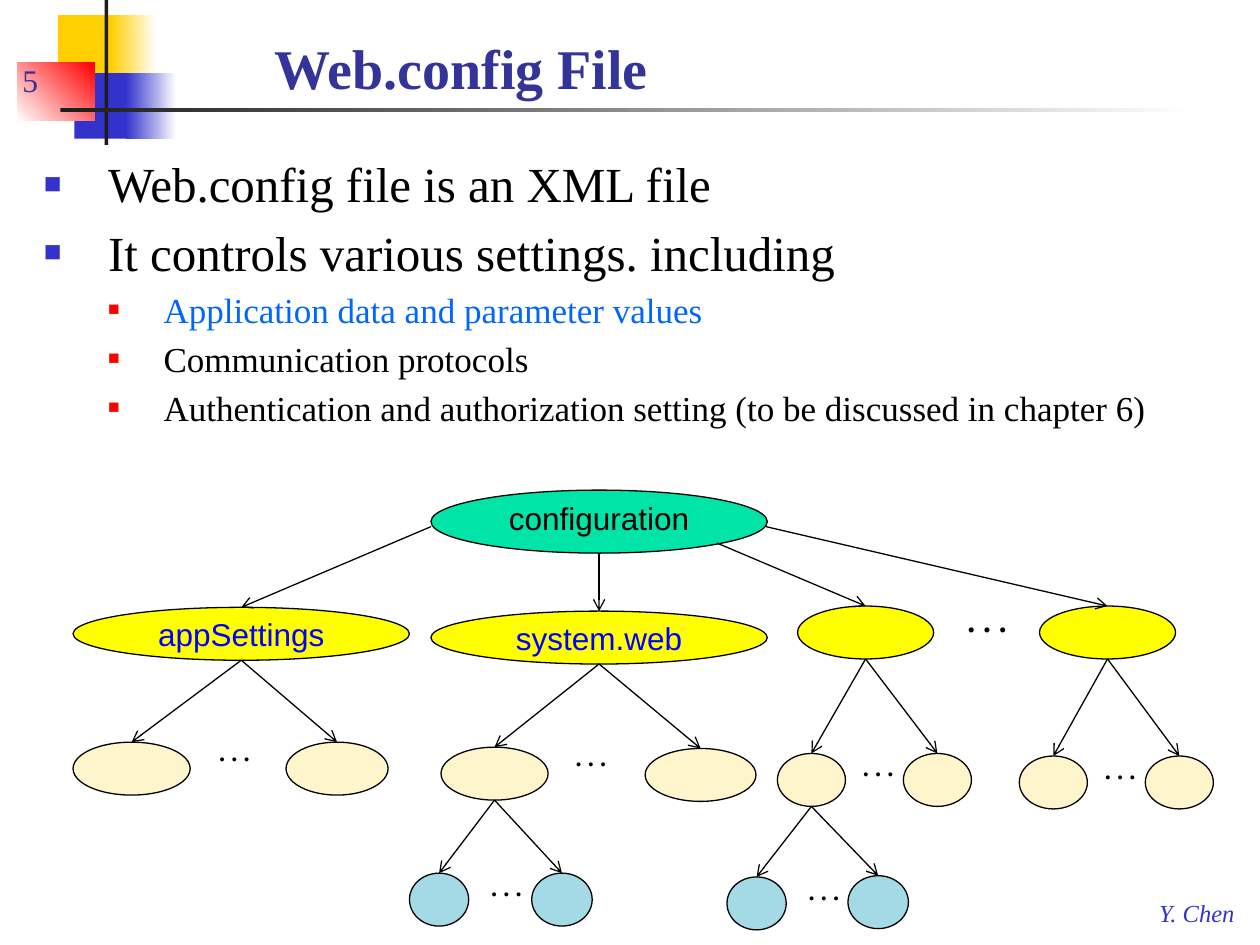
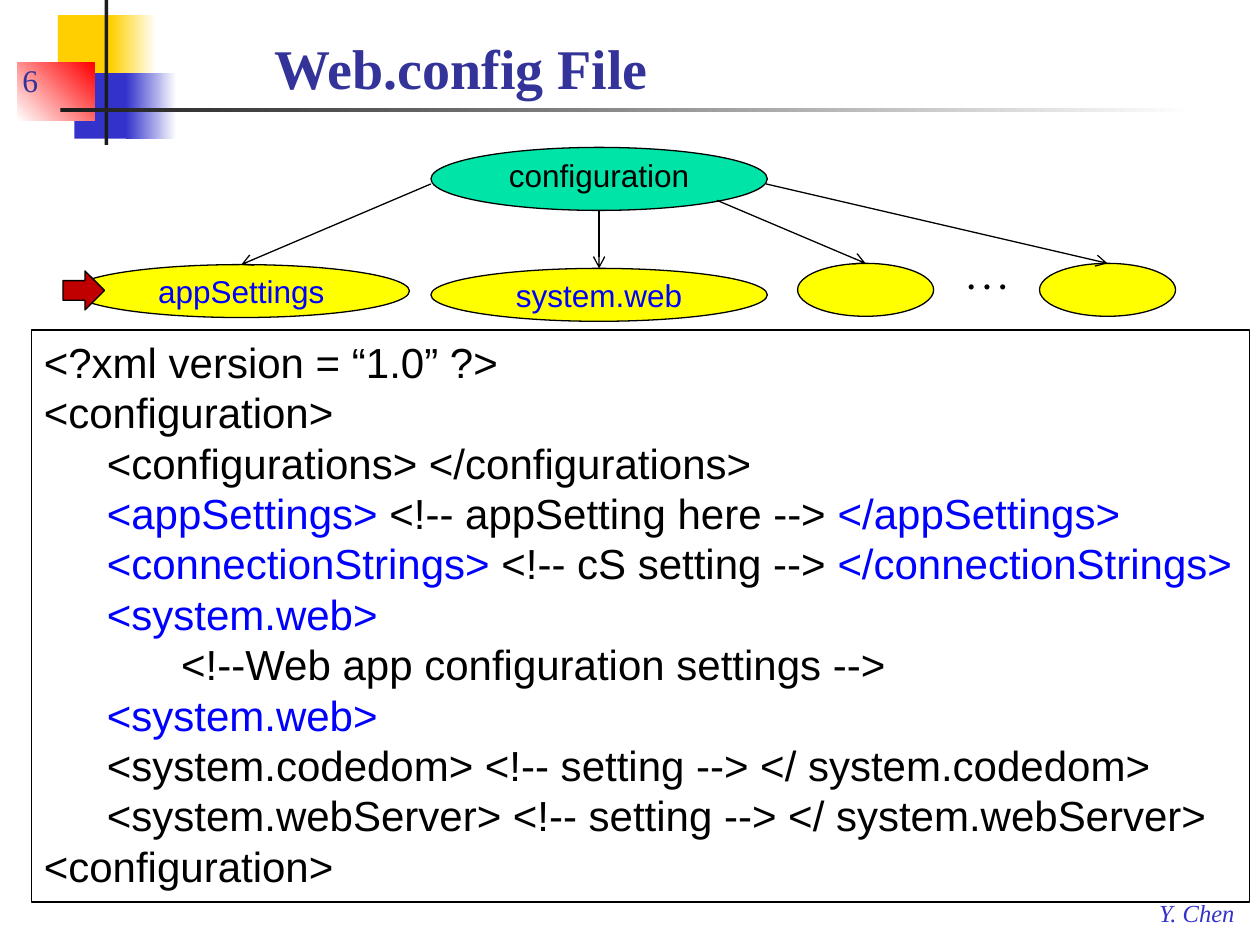
from dataclasses import dataclass

from lxml import etree
from pptx import Presentation
from pptx.dml.color import RGBColor
from pptx.enum.shapes import MSO_CONNECTOR, MSO_SHAPE
from pptx.enum.text import MSO_ANCHOR, PP_ALIGN
from pptx.oxml.ns import qn
from pptx.util import Inches, Pt

RECT = MSO_SHAPE.RECTANGLE
OVAL = MSO_SHAPE.OVAL
ARROW = MSO_SHAPE.RIGHT_ARROW
LINE = MSO_CONNECTOR.STRAIGHT
TOP = MSO_ANCHOR.TOP
BOTTOM = MSO_ANCHOR.BOTTOM
CENTER = PP_ALIGN.CENTER
LEFT = PP_ALIGN.LEFT


@dataclass(frozen=True)
class Theme:
    """Colours, fonts and type sizes of the deck."""
    serif: str = "Times New Roman"
    sans: str = "Arial"
    black: str = "000000"
    white: str = "FFFFFF"
    ink: str = "1C1C1C"
    navy: str = "333399"
    indigo: str = "3333CC"
    gold: str = "FFCF01"
    red: str = "FF0000"
    sky: str = "0066FF"
    blue: str = "0000FF"
    root: str = "00E4A8"
    branch: str = "FFFF00"
    twig: str = "FFF5CC"
    leaf: str = "A4D9E6"
    mark: str = "C00000"
    title: int = 32
    main: int = 28
    code: int = 24
    sub: int = 20
    label: int = 18
    small: int = 14
    rule: float = 0.75


T = Theme()
OVAL_H = 0.42

BULLETS = [
    (0, "Web.config file is an XML file", T.black),
    (0, "It controls various settings. including", T.black),
    (1, "Application data and parameter values", T.sky),
    (1, "Communication protocols", T.black),
    (1, "Authentication and authorization setting "
        "(to be discussed in chapter 6)", T.black),
]
# left margin, hang, bullet colour, bullet percent, size, space before
LEVELS = [
    (0.51, 0.51, T.indigo, 60, T.main, 5.6),
    (0.95, 0.44, T.red, 55, T.sub, 4),
]

# indent, then runs
CODE = [
    (0, [("<?xml version = “1.0” ?>", T.black)]),
    (0, [("<configuration>", T.black)]),
    (0.5, [("<configurations> </configurations>", T.black)]),
    (0.5, [("<appSettings> ", T.blue), ("<!-- appSetting here --> ", T.black),
           ("</appSettings>", T.blue)]),
    (0.5, [("<connectionStrings> ", T.blue), ("<!-- cS setting --> ", T.black),
           ("</connectionStrings>", T.blue)]),
    (0.5, [("<system.web>", T.blue)]),
    (1.09, [("<!--Web app configuration settings -->", T.black)]),
    (0.5, [("<system.web>", T.blue)]),
    (0.5, [("<system.codedom> <!-- setting --> </ system.codedom>", T.black)]),
    (0.5, [("<system.webServer> <!-- setting --> </ system.webServer>",
            T.black)]),
    (0, [("<configuration>", T.black)]),
]


def rgb(code):
    """Turn a hex code into a colour."""
    return RGBColor.from_string(code)


def style(para, size, color=None, face=T.serif, bold=False, italic=False):
    """Set the font of a whole paragraph."""
    font = para.font
    font.name, font.size = face, Pt(size)
    font.bold, font.italic = bold, italic
    if color:
        font.color.rgb = rgb(color)


def shape(slide, kind, box, fill=None, line=None):
    """Add a preset shape; a tuple of two colours and an angle is a gradient."""
    item = slide.shapes.add_shape(kind, *map(Inches, box))
    item.shadow.inherit = False
    if isinstance(fill, tuple):
        start, end, angle = fill
        item.fill.gradient()
        item.fill.gradient_angle = angle
        for stop, color, spot in zip(item.fill.gradient_stops,
                                     (start, end), (0, 1)):
            stop.color.rgb = rgb(color)
            stop.position = spot
    elif fill:
        item.fill.solid()
        item.fill.fore_color.rgb = rgb(fill)
    else:
        item.fill.background()
    if line:
        item.line.color.rgb = rgb(line)
        item.line.width = Pt(T.rule)
    else:
        item.line.fill.background()
    return item


def label(slide, box, text, size, color, anchor=TOP, wrap=True, **look):
    """Add a one-line text box."""
    frame = slide.shapes.add_textbox(*map(Inches, box)).text_frame
    frame.word_wrap = wrap
    frame.vertical_anchor = anchor
    frame.text = text
    style(frame.paragraphs[0], size, color, **look)


def oval(slide, box, fill, text=None, color=T.black):
    """Add a tree node and return its box."""
    item = shape(slide, OVAL, box, fill, T.black)
    if text:
        frame = item.text_frame
        frame.vertical_anchor = TOP
        frame.text = text
        para = frame.paragraphs[0]
        para.alignment = CENTER
        para.line_spacing = Pt(T.label)
        style(para, T.label, color, T.sans)
    return box


def arrow(slide, start, end):
    """Draw a thin line with an open head at its end."""
    link = slide.shapes.add_connector(LINE, *map(Inches, (*start, *end)))
    link.line.color.rgb = rgb(T.black)
    link.line.width = Pt(T.rule)
    props = link._element.spPr
    etree.SubElement(props.find(qn("a:ln")), qn("a:tailEnd"), type="arrow")
    etree.SubElement(props, qn("a:effectLst"))


def crown(box):
    """Give the top centre of a box."""
    return box[0] + box[2] / 2, box[1]


def foot(box):
    """Give the bottom centre of a box."""
    return box[0] + box[2] / 2, box[1] + box[3]


def dots(slide, x, y, size=T.small):
    """Add an ellipsis between nodes."""
    wide, high = (0.52, 0.4) if size == T.label else (0.45, 0.34)
    label(slide, (x, y, wide, high), ". . .", size, T.black,
          wrap=False, bold=True)


def pair(slide, parent, left, right, gap, fill):
    """Hang two nodes (x, y, width) below a parent; return the left one."""
    kids = [oval(slide, (*kid, OVAL_H), fill) for kid in (left, right)]
    dots(slide, *gap)
    for kid in kids:
        arrow(slide, foot(parent), crown(kid))
    return kids[0]


def tree(slide, top):
    """Draw the root and its four branches; return the branch boxes."""
    root = oval(slide, (3.42, top, 2.67, 0.5), T.root, "configuration")
    plan = [(0.58, 0.93, 2.67, "appSettings"), (3.42, 0.96, 2.67, "system.web"),
            (6.33, 0.92, 1.08, None), (8.25, 0.92, 1.08, None)]
    kids = [oval(slide, (x, top + drop, wide, OVAL_H), T.branch, text, T.blue)
            for x, drop, wide, text in plan]
    dots(slide, 7.58, top + 0.83, T.label)
    starts = [(3.42, top + 0.29), foot(root),
              (5.69, top + 0.42), (6.08, top + 0.29)]
    for start, kid in zip(starts, kids):
        arrow(slide, start, crown(kid))
    return kids


def bullets(slide):
    """Add the bulleted text."""
    area = map(Inches, (0.25, 1.17, 9.67, 2.33))
    frame = slide.shapes.add_textbox(*area).text_frame
    frame.word_wrap = True
    for i, (level, text, color) in enumerate(BULLETS):
        left, hang, tint, part, size, space = LEVELS[level]
        para = frame.paragraphs[0] if i == 0 else frame.add_paragraph()
        para.text = text
        para.level = level
        para.space_before = Pt(space)
        props = para._p.get_or_add_pPr()
        props.set("marL", str(Inches(left)))
        props.set("indent", str(-Inches(hang)))
        paint = etree.SubElement(props, qn("a:buClr"))
        etree.SubElement(paint, qn("a:srgbClr"), val=tint)
        etree.SubElement(props, qn("a:buSzPct"), val=str(part * 1000))
        etree.SubElement(props, qn("a:buFont"), typeface=T.sans)
        etree.SubElement(props, qn("a:buChar"), char="■")
        style(para, size, color)


def listing(slide):
    """Add the framed XML listing."""
    frame = shape(slide, RECT, (0.25, 2.62, 9.67, 4.54),
                  line=T.black).text_frame
    frame.word_wrap = True
    frame.vertical_anchor = TOP
    for i, (left, runs) in enumerate(CODE):
        para = frame.paragraphs[0] if i == 0 else frame.add_paragraph()
        para.alignment = LEFT
        para._p.get_or_add_pPr().set("marL", str(Inches(left)))
        style(para, T.code, face=T.sans)
        for text, color in runs:
            run = para.add_run()
            run.text = text
            run.font.color.rgb = rgb(color)


def base(deck, number):
    """Add a slide with the shared band, footer, number and title."""
    slide = deck.slides.add_slide(deck.slide_layouts[6])
    for box, fill in [
        ((0.46, 0.12, 0.48, 0.52), T.gold),
        ((0.88, 0.12, 0.36, 0.52), (T.gold, T.white, 0)),
        ((0.59, 0.58, 0.46, 0.52), T.indigo),
        ((1, 0.58, 0.4, 0.52), (T.indigo, T.white, 0)),
        ((0.14, 0.5, 0.61, 0.46), (T.white, T.red, 45)),
        ((0.83, 0, 0.03, 1.15), T.ink),
        ((0.48, 0.86, 9, 0.03), (T.ink, T.white, 0)),
    ]:
        shape(slide, RECT, box, fill)
    label(slide, (9.1, 7.08, 0.82, 0.33), "Y. Chen", T.small, T.indigo,
          wrap=False, italic=True)
    label(slide, (0.08, 0.33, 0.75, 0.5), str(number), T.label, T.navy, BOTTOM)
    label(slide, (2.08, 0.17, 7.84, 0.68), "Web.config File", T.title, T.navy,
          BOTTOM, bold=True)
    return slide


def outline(deck):
    """Build the slide with bullets and the full tree."""
    slide = base(deck, 5)
    bullets(slide)
    app, web, third, last = tree(slide, 3.89)
    pair(slide, app, (0.58, 5.89, 0.93), (2.27, 5.89, 0.81),
         (1.64, 5.8), T.twig)
    mid = pair(slide, web, (3.5, 5.93, 0.85), (5.12, 5.94, 0.88),
               (4.47, 5.84), T.twig)
    side = pair(slide, third, (6.17, 5.98, 0.54), (7.17, 5.98, 0.54),
                (6.75, 5.92), T.twig)
    pair(slide, last, (8.09, 6, 0.54), (9.09, 6, 0.54), (8.67, 5.94), T.twig)
    pair(slide, mid, (3.25, 6.93, 0.47), (4.22, 6.93, 0.48),
         (3.8, 6.87), T.leaf)
    pair(slide, side, (5.77, 6.96, 0.47), (6.73, 6.95, 0.48),
         (6.32, 6.9), T.leaf)


def sample(deck):
    """Build the slide with the short tree and the listing."""
    slide = base(deck, 6)
    listing(slide)
    tree(slide, 1.17)
    shape(slide, ARROW, (0.5, 2.15, 0.33, 0.31), T.mark, T.black)


def main():
    """Build and save the deck."""
    deck = Presentation()
    deck.slide_width, deck.slide_height = Inches(10), Inches(7.5)
    outline(deck)
    sample(deck)
    deck.save("out.pptx")


main()
